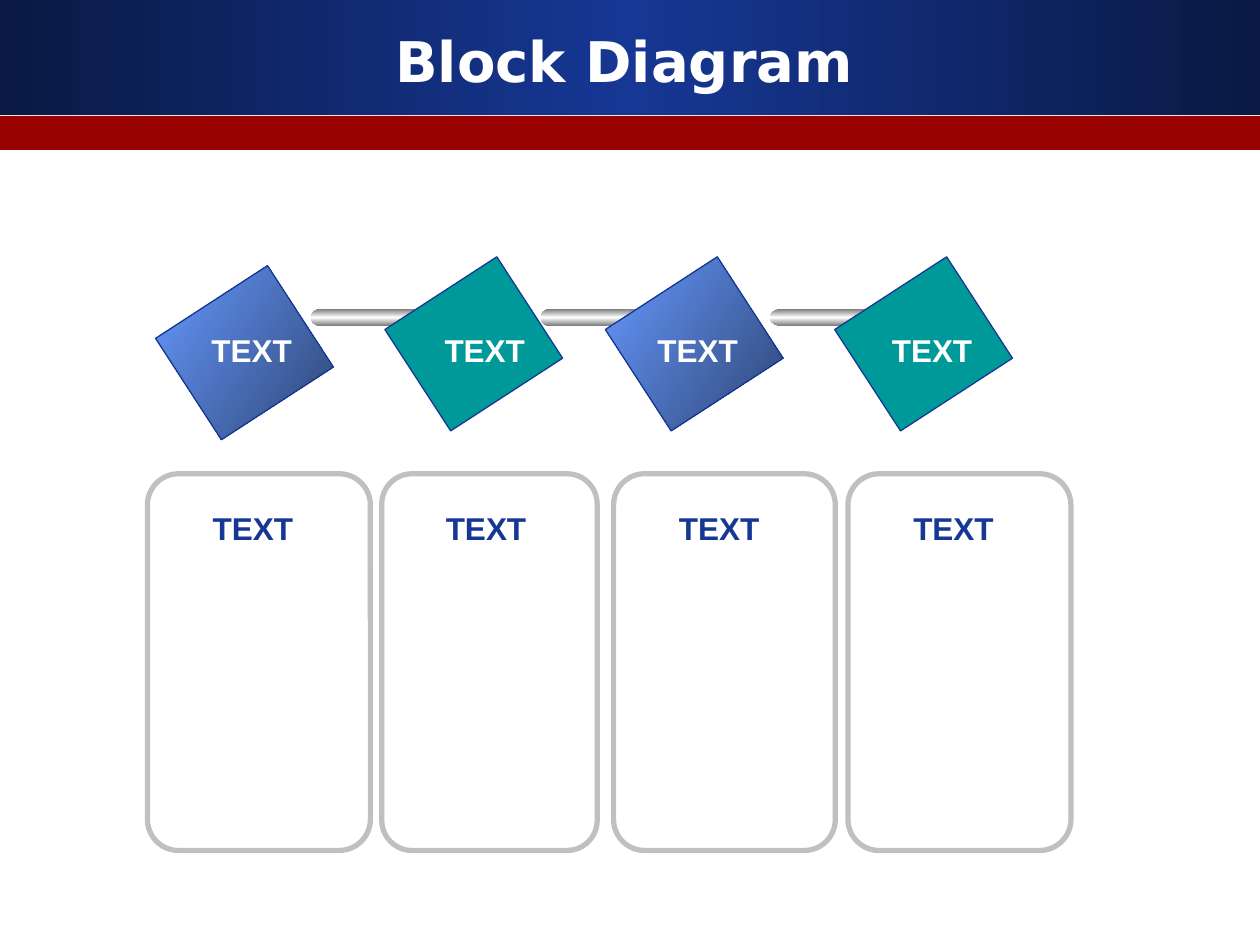
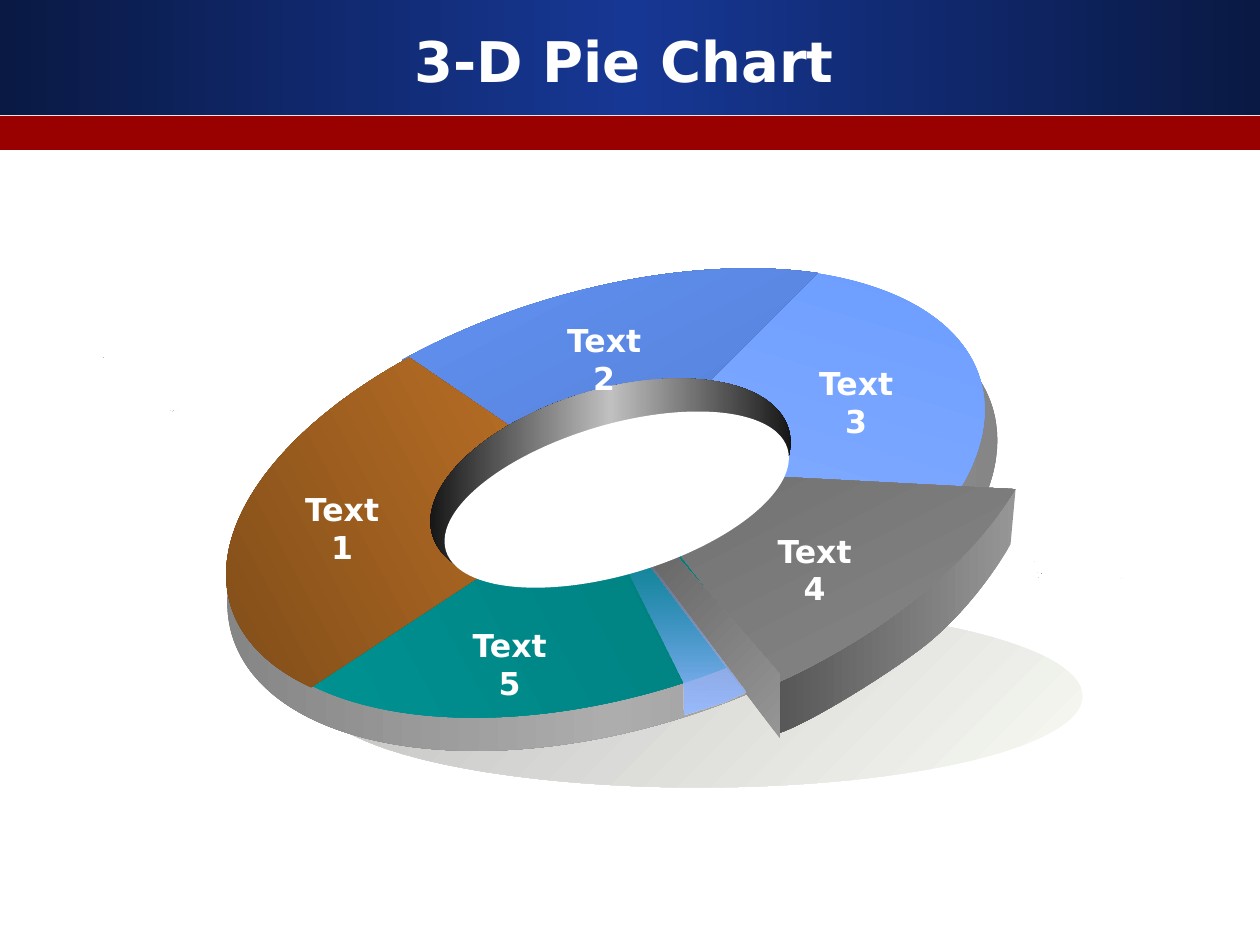
import math

from lxml import etree
from pptx import Presentation
from pptx import util as u
from pptx.dml.color import RGBColor
from pptx.enum import shapes as kinds
from pptx.enum import text as txt
from pptx.oxml.ns import qn

NAVY = RGBColor(0x0A, 0x19, 0x44)
ROYAL = RGBColor(0x16, 0x37, 0x94)
RED = RGBColor(0x99, 0x00, 0x00)
WHITE = RGBColor(0xFF, 0xFF, 0xFF)
BLACK = RGBColor(0x00, 0x00, 0x00)
SILVER = RGBColor(0xC0, 0xC0, 0xC0)
STEEL = RGBColor(0x75, 0x75, 0x75)
GREY = RGBColor(0x80, 0x80, 0x80)
RIM_GREY = RGBColor(0xAD, 0xAD, 0xAD)
LIGHT_GREY = RGBColor(0x96, 0x96, 0x96)
WALL_GREY = RGBColor(0x56, 0x56, 0x56)
CUT_GREY = RGBColor(0x63, 0x63, 0x63)
DARK_GREY = RGBColor(0x45, 0x45, 0x45)
IVORY = RGBColor(0xF7, 0xF9, 0xF2)
SKY = RGBColor(0x66, 0x99, 0xFF)
PALE_SKY = RGBColor(0x9D, 0xBD, 0xFE)
GLASS_SKY = RGBColor(0x98, 0xBA, 0xFE)
SLATE = RGBColor(0x2F, 0x46, 0x75)
DENIM = RGBColor(0x49, 0x6E, 0xB8)
TEAL = RGBColor(0x00, 0x99, 0x99)
DARK_TEAL = RGBColor(0x00, 0x6A, 0x6A)
LAGOON = RGBColor(0x27, 0x91, 0xBB)
ORANGE = RGBColor(0xFF, 0x99, 0x33)
BROWN = RGBColor(0x75, 0x46, 0x17)

HEADING_FONT = "DejaVu Sans"
LABEL_FONT = "Arial"
RING_TILT = 343.4

RECT = kinds.MSO_SHAPE.RECTANGLE
OVAL = kinds.MSO_SHAPE.OVAL
ROUNDED = kinds.MSO_SHAPE.ROUNDED_RECTANGLE


def gradient(angle, *colors, start_alpha=None):
    """Describe an evenly spaced linear gradient, its angle clockwise."""
    return {"angle": angle, "colors": colors, "start_alpha": start_alpha}


STEEL_SHEEN = gradient(90, STEEL, WHITE, STEEL)
BLUE_TILE = gradient(33, SKY, SLATE)


def apply_gradient(shape, look):
    """Fill a shape with a gradient that stays level when it is rotated."""
    shape.fill.gradient()
    fill = shape.element.spPr.find(qn("a:gradFill"))
    for child in list(fill):
        fill.remove(child)
    fill.set("rotWithShape", "0")
    stops = etree.SubElement(fill, qn("a:gsLst"))
    last = len(look["colors"]) - 1
    for i, color in enumerate(look["colors"]):
        stop = etree.SubElement(stops, qn("a:gs"), pos=str(100000 * i // last))
        tint = etree.SubElement(stop, qn("a:srgbClr"), val=str(color))
        if i == 0 and look["start_alpha"] is not None:
            etree.SubElement(tint, qn("a:alpha"),
                             val=str(look["start_alpha"] * 1000))
    etree.SubElement(fill, qn("a:lin"), ang=str(look["angle"] * 60000),
                     scaled="0")


def paint(shape, fill=None, line=None, width=1):
    """Set fill and outline, and drop the theme shadow."""
    shape.shadow.inherit = False
    if fill is None:
        shape.fill.background()
    elif isinstance(fill, dict):
        apply_gradient(shape, fill)
    else:
        shape.fill.solid()
        shape.fill.fore_color.rgb = fill
    if line is None:
        shape.line.fill.background()
    else:
        shape.line.color.rgb = line
        shape.line.width = u.Pt(width)


def add_block(shapes, kind, box, rotation=0, **look):
    """Add a painted preset shape; the box is in inches."""
    block = shapes.add_shape(kind, *map(u.Inches, box))
    block.rotation = rotation
    paint(block, **look)
    return block


def add_outline(shapes, steps, fill, rotation=0, frame=()):
    """Add a closed freeform; a step is a point or three curve points.

    The frame points only stretch the box that rotation and fill refer to.
    """
    start = [u.Inches(value) for value in steps[0]]
    pen = shapes.build_freeform(*start, scale=1.0)
    points, curve_starts = [], []
    for step in steps[1:]:
        if len(step) == 3:
            curve_starts.append(len(points))
            points.extend(step)
        else:
            points.append(step)
    pen.add_line_segments([tuple(map(u.Inches, p)) for p in points])
    for point in frame:
        corner = tuple(map(u.Inches, point))
        pen.move_to(*corner)
        pen.add_line_segments([corner], close=False)
    outline = pen.convert_to_shape()
    lines = list(outline.element.spPr.iter(qn("a:lnTo")))
    for first in curve_starts:
        curve = etree.Element(qn("a:cubicBezTo"))
        lines[first].addprevious(curve)
        for line in lines[first:first + 3]:
            curve.append(line[0])
            line.getparent().remove(line)
    outline.rotation = rotation
    paint(outline, fill)


def add_sector(shapes, box, tilt, first, last, fill):
    """Add a sector of a tilted ellipse between two angles on the slide."""
    left, top, width, height = box
    a, b = width / 2, height / 2
    cx, cy = left + a, top + b

    def eccentric(angle):
        """Turn a slide angle into the parameter of the ellipse."""
        turned = math.radians(angle - tilt)
        shift = math.atan2(a * math.sin(turned), b * math.cos(turned)) - turned
        return turned + math.remainder(shift, math.tau)

    def on_ellipse(t, slope=0):
        """Give a point of the ellipse, moved along its tangent."""
        return (cx + a * (math.cos(t) - slope * math.sin(t)),
                cy + b * (math.sin(t) + slope * math.cos(t)))

    begin, end = eccentric(first), eccentric(last)
    quarter = math.pi / 2
    cuts = [quarter * i for i in range(math.ceil(begin / quarter),
                                       math.ceil(end / quarter))]
    knots = [begin, *cuts, end]
    steps = [(cx, cy), on_ellipse(begin)]
    for t0, t1 in zip(knots, knots[1:]):
        pull = 4 / 3 * math.tan((t1 - t0) / 4)
        steps.append((on_ellipse(t0, pull), on_ellipse(t1, -pull),
                      on_ellipse(t1)))
    add_outline(shapes, steps, fill, tilt,
                [(left, top), (left + width, top + height)])


def style_text(frame, align, **font_values):
    """Format the first paragraph of a text frame."""
    paragraph = frame.paragraphs[0]
    paragraph.alignment = align
    font = paragraph.runs[0].font
    font.color.rgb = font_values.pop("color")
    for name, value in font_values.items():
        setattr(font, name, value)


def add_label(shapes, words, left, top, width, font, color, align, wrap):
    """Add a bold one-paragraph label."""
    label = shapes.add_textbox(*map(u.Inches, (left, top, width, 0.4)))
    frame = label.text_frame
    frame.word_wrap = wrap
    frame.text = words
    style_text(frame, align, name=font, size=u.Pt(18), bold=True, color=color)


def add_titled_slide(prs, heading):
    """Add a slide with the shared title style."""
    slide = prs.slides.add_slide(prs.slide_layouts[5])
    title = slide.shapes.title
    place = {"left": 0.33, "top": 0.17, "width": 9.25, "height": 0.62}
    for side, inches in place.items():
        setattr(title, side, u.Inches(inches))
    frame = title.text_frame
    frame.text = heading
    frame.auto_size = txt.MSO_AUTO_SIZE.NONE
    frame.vertical_anchor = txt.MSO_ANCHOR.MIDDLE
    style_text(frame, txt.PP_ALIGN.CENTER, name=HEADING_FONT, size=u.Pt(32),
               bold=True, color=WHITE)
    return slide


def move_bands_to_master(prs, slide):
    """Draw the header bands and hand them to the slide master."""
    bands = [((0, 0, 10, 0.91), gradient(180, NAVY, ROYAL, NAVY)),
             ((0, 0.92, 10, 0.27), RED)]
    for i, (box, fill) in enumerate(bands):
        band = add_block(slide.shapes, RECT, box, fill=fill)
        prs.slide_master.shapes.element.insert(2 + i, band.element)


def add_rod(shapes, left, stretch):
    """Add a metal rod with rounded ends."""
    parts = [(OVAL, 0, 2.45, 0.17, 0.14, None),
             (RECT, 0.09, 2.45, 0.82, 0.14, None),
             (OVAL, 0.84, 2.46, 0.15, 0.13, WHITE),
             (OVAL, 0.92, 2.5, 0.04, 0.04, None)]
    for kind, offset, top, width, height, line in parts:
        box = (left + offset * stretch, top, width * stretch, height)
        add_block(shapes, kind, box, fill=STEEL_SHEEN, line=line)


def build_block_diagram(slide):
    """Draw four linked tiles above four panels."""
    shapes = slide.shapes
    for left, width in [(6.73, 1.77), (4.87, 1.76), (3.03, 1.71), (1.17, 1.77)]:
        panel = add_block(shapes, ROUNDED, (left, 3.76, width, 2.99),
                          line=SILVER, width=3)
        panel.adjustments[0] = 0.14

    row = shapes.add_group_shape().shapes
    tiles = [(1.46, 2.27, BLUE_TILE), (3.28, 2.2, TEAL),
             (5.03, 2.2, BLUE_TILE), (6.85, 2.2, TEAL)]
    stretches = [1, 1, 1.3]
    for i, (left, top, fill) in enumerate(tiles):
        if i:
            add_rod(row, 2.47 + 1.82 * (i - 1), stretches[i - 1])
        add_block(row, RECT, (left, top, 0.96, 1.06), 57,
                  fill=fill, line=ROYAL, width=0.74)

    tile_labels = [(left, 2.58, WHITE) for left in (1.58, 3.43, 5.12, 6.98)]
    panel_labels = [(left, 3.99, ROYAL) for left in (1.59, 3.44, 5.29, 7.15)]
    for left, top, color in tile_labels + panel_labels:
        add_label(shapes, "TEXT", left, top, 0.84, LABEL_FONT, color,
                  txt.PP_ALIGN.LEFT, False)


def build_pie_ring(slide):
    """Draw the tilted ring with one slice pulled out."""
    ring = slide.shapes.add_group_shape().shapes
    add_block(ring, OVAL, (2.51, 4.8, 6.08, 1.45),
              fill=gradient(225, IVORY, SILVER))
    add_block(ring, OVAL, (1.71, 2.49, 6.3, 3.3), RING_TILT,
              fill=gradient(180, GREY, RIM_GREY, GREY))
    add_block(ring, OVAL, (1.77, 2.31, 6.08, 3.2), RING_TILT,
              fill=gradient(242, BLACK, LAGOON))

    # Neighbouring sectors overlap a little, so that no gap shows.
    sectors = [
        ((1.68, 2.3, 6.23, 3.2), 312, 370, gradient(107, SKY, PALE_SKY)),
        ((1.74, 2.3, 6.17, 3.23), 40, 149, gradient(332, TEAL, DARK_TEAL)),
        ((1.69, 2.31, 6.21, 3.1), 212, 315, gradient(242, DENIM, SKY)),
        ((1.7, 2.31, 6.24, 3.2), 146.7, 214.3, gradient(332, BROWN, ORANGE)),
    ]
    for box, first, last, fill in sectors:
        add_sector(ring, box, RING_TILT, first, last, fill)

    outer_wall = [(6.16, 5.42), (8.06, 3.88), (8.02, 4.32),
                  ((7.9, 4.53), (7.67, 4.85), (7.37, 5.1)),
                  ((7.06, 5.35), (6.37, 5.77), (6.17, 5.82)),
                  ((6.14, 5.68), (6.16, 5.42), (6.16, 5.42))]
    add_outline(ring, outer_wall, gradient(180, LIGHT_GREY, WALL_GREY))
    add_sector(ring, (1.28, 1.65, 7.16, 4.13), 342.3, 3, 52,
               gradient(243, LIGHT_GREY, DARK_GREY))
    cut_wall = [(6.19, 5.35), (6.19, 5.86), (5.06, 4.36), (5.23, 4.25)]
    add_outline(ring, cut_wall, gradient(225, LIGHT_GREY, CUT_GREY))
    add_block(ring, OVAL, (3.37, 3.09, 2.95, 1.47), RING_TILT,
              fill=gradient(180, BLACK, SILVER, BLACK))

    spots = [(2.27, 3.84), (4.35, 2.5), (6.35, 2.84), (6.02, 4.17), (3.6, 4.92)]
    for number, (left, top) in enumerate(spots, 1):
        add_label(ring, f"Text{number}", left, top, 0.89, HEADING_FONT, WHITE,
                  txt.PP_ALIGN.CENTER, True)

    glass = [(4.97, 4.51), (5.42, 5.4), (5.43, 5.67), (5.75, 5.57),
             (5.92, 5.49), (5.17, 4.49)]
    add_outline(ring, glass, gradient(90, SKY, GLASS_SKY, start_alpha=19))
    add_block(ring, OVAL, (3.48, 3.37, 2.83, 1.19), RING_TILT, fill=WHITE)


def main():
    """Build both slides and save them."""
    prs = Presentation()
    prs.slide_width, prs.slide_height = u.Inches(10), u.Inches(7.5)
    blocks = add_titled_slide(prs, "Block Diagram")
    move_bands_to_master(prs, blocks)
    build_block_diagram(blocks)
    build_pie_ring(add_titled_slide(prs, "3-D Pie Chart"))
    prs.save("out.pptx")


main()
